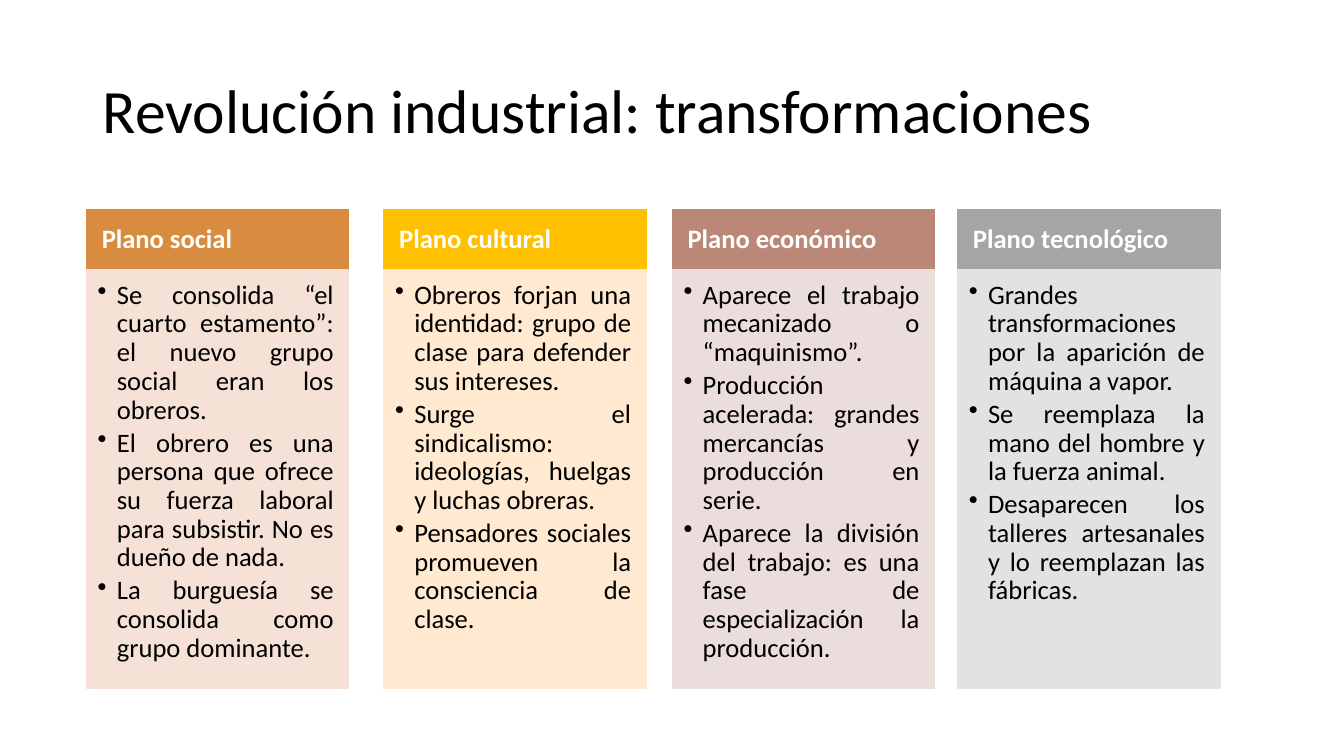
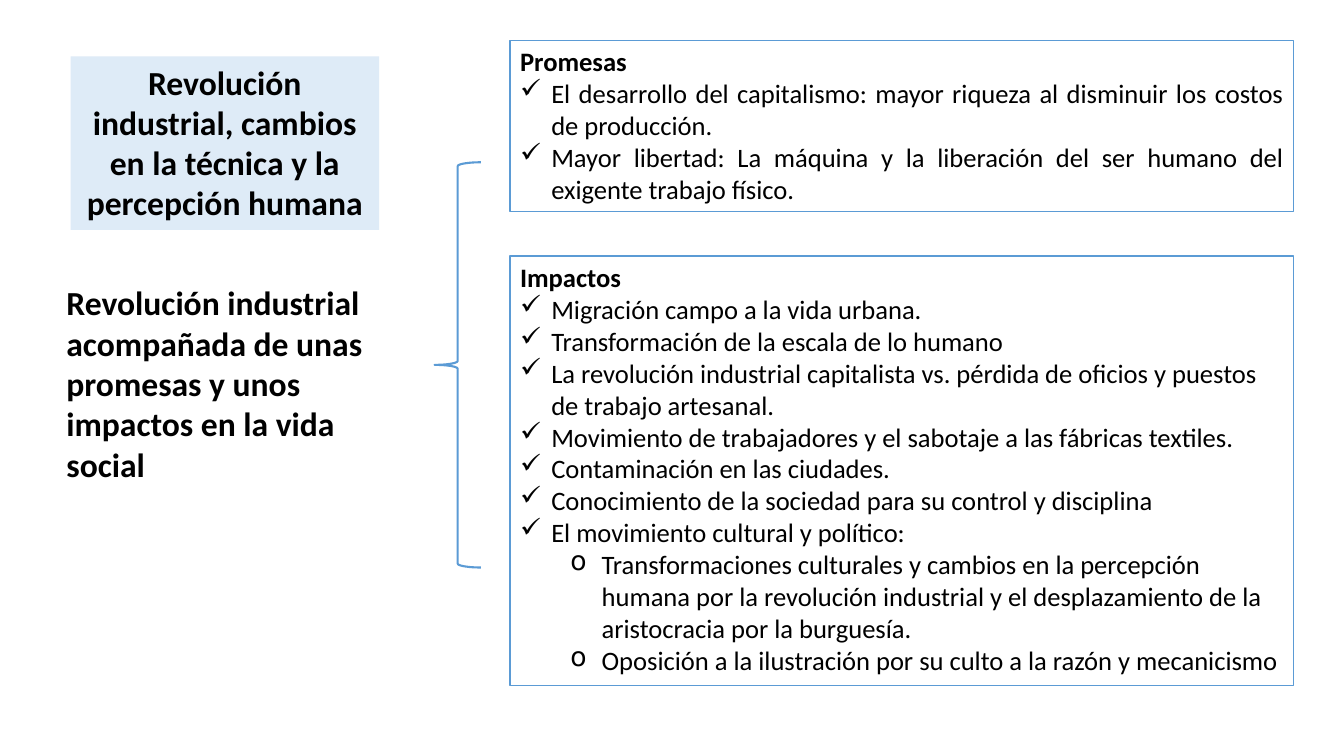
from pptx import Presentation
from pptx.dml.color import RGBColor
from pptx.enum.shapes import MSO_SHAPE as Shape
from pptx.enum.text import MSO_ANCHOR as Anchor, PP_ALIGN as Align
from pptx.oxml.ns import qn
from pptx.util import Inches, Pt
from lxml.etree import SubElement

FONT = "Calibri"
BLACK = RGBColor(0x00, 0x00, 0x00)
WHITE = RGBColor(0xFF, 0xFF, 0xFF)
BLUE = RGBColor(0x5B, 0x9B, 0xD5)
PALE = RGBColor(0xDE, 0xEB, 0xF7)
ORANGE = RGBColor(0xD9, 0x8B, 0x3F)
PEACH = RGBColor(0xF6, 0xE1, 0xD6)
GOLD = RGBColor(0xFF, 0xC0, 0x00)
CREAM = RGBColor(0xFF, 0xE9, 0xD0)
BROWN = RGBColor(0xBB, 0x87, 0x76)
ROSE = RGBColor(0xEB, 0xDD, 0xDB)
GRAY = RGBColor(0xA5, 0xA5, 0xA5)
SILVER = RGBColor(0xE2, 0xE2, 0xE2)

TITLE = "Revolución industrial: transformaciones"
PLANS = [
    (0.86, "Plano social", ORANGE, PEACH, [
        "Se consolida “el cuarto estamento”: el nuevo grupo social eran los obreros.",
        "El obrero es una persona que ofrece su fuerza laboral para subsistir. No es dueño de nada.",
        "La burguesía se consolida como grupo dominante."]),
    (3.81, "Plano cultural", GOLD, CREAM, [
        "Obreros forjan una identidad: grupo de clase para defender sus intereses.",
        "Surge el sindicalismo: ideologías, huelgas y luchas obreras.",
        "Pensadores sociales promueven la consciencia de clase."]),
    (6.67, "Plano económico", BROWN, ROSE, [
        "Aparece el trabajo mecanizado o “maquinismo”.",
        "Producción acelerada: grandes mercancías y producción en serie.",
        "Aparece la división del trabajo: es una fase de especialización la producción."]),
    (9.5, "Plano tecnológico", GRAY, SILVER, [
        "Grandes transformaciones por la aparición de máquina a vapor.",
        "Se reemplaza la mano del hombre y la fuerza animal.",
        "Desaparecen los talleres artesanales y lo reemplazan las fábricas."]),
]
TOPIC = "Revolución industrial, cambios en la técnica y la percepción humana"
CLAIM = "Revolución industrial acompañada de unas promesas y unos impactos en la vida social"
PANELS = [
    (0.4, 1.7, Align.JUSTIFY, "Promesas", [
        "El desarrollo del capitalismo: mayor riqueza al disminuir los costos de producción.",
        "Mayor libertad: La máquina y la liberación del ser humano del exigente trabajo físico."], []),
    (2.54, 4.26, Align.LEFT, "Impactos", [
        "Migración campo a la vida urbana.",
        "Transformación de la escala de lo humano",
        "La revolución industrial capitalista vs. pérdida de oficios y puestos de trabajo artesanal.",
        "Movimiento de trabajadores y el sabotaje a las fábricas textiles.",
        "Contaminación en las ciudades.",
        "Conocimiento de la sociedad para su control y disciplina",
        "El movimiento cultural y político:"], [
        "Transformaciones culturales y cambios en la percepción humana por la revolución industrial y el desplazamiento de la aristocracia por la burguesía.",
        "Oposición a la ilustración por su culto a la razón y mecanicismo"]),
]


def add_box(slide, at, fill=None, line=None, kind=Shape.RECTANGLE, width=1):
    box = slide.shapes.add_shape(kind, *map(Inches, at))
    box.shadow.inherit = False
    if fill is None:
        box.fill.background()
    else:
        box.fill.solid()
        box.fill.fore_color.rgb = fill
    if line is None:
        box.line.fill.background()
    else:
        box.line.color.rgb = line
        box.line.width = Pt(width)
    return box


def set_frame(box, inset=(0.1, 0.05, 0.1, 0.05), anchor=Anchor.TOP):
    frame = box.text_frame
    frame.word_wrap = True
    frame.vertical_anchor = anchor
    (frame.margin_left, frame.margin_top,
     frame.margin_right, frame.margin_bottom) = map(Inches, inset)
    return frame


def add_text(frame, text, size=19, bold=False, color=BLACK, align=Align.LEFT,
             mark=None, left=0, hang=0, space=1, after=0):
    para = frame.paragraphs[0] if not frame.text else frame.add_paragraph()
    para.text = text
    para.alignment = align
    para.line_spacing = space
    para.space_after = Pt(after)
    if mark:
        props = para._p.get_or_add_pPr()
        props.set("marL", str(Inches(left)))
        props.set("indent", str(-Inches(hang)))
        SubElement(props, qn("a:buChar")).set("char", mark)
    font = para.font
    font.name = FONT
    font.size = Pt(size)
    font.bold = bold
    font.color.rgb = color


def draw_plans(slide):
    title = set_frame(add_box(slide, (0.92, 0.4, 11.5, 1.45)), anchor=Anchor.MIDDLE)
    add_text(title, TITLE, size=44, space=0.9)
    for left, name, dark, light, points in PLANS:
        head = add_box(slide, (left, 2.08, 2.6, 0.6), dark, dark)
        frame = set_frame(head, (0.15, 0.08, 0.15, 0.08), Anchor.MIDDLE)
        add_text(frame, name, bold=True, color=WHITE, align=Align.JUSTIFY, space=0.9)
        body = add_box(slide, (left, 2.68, 2.6, 4.15), light, light)
        frame = set_frame(body, (0.11, 0.11, 0.15, 0.17))
        for point in points:
            add_text(frame, point, align=Align.JUSTIFY, mark="•",
                     left=0.19, hang=0.19, space=0.9, after=3)


def draw_impact(slide):
    topic = set_frame(add_box(slide, (0.7, 0.56, 3.06, 1.72), PALE))
    add_text(topic, TOPIC, size=24, bold=True, align=Align.CENTER)
    claim = set_frame(add_box(slide, (0.56, 2.75, 3.59, 1.72)))
    add_text(claim, CLAIM, size=24, bold=True)
    add_box(slide, (4.31, 1.61, 0.46, 4.02), line=BLUE, kind=Shape.LEFT_BRACE, width=1.5)
    for top, height, align, head, points, subs in PANELS:
        frame = set_frame(add_box(slide, (5.06, top, 7.77, height), WHITE, BLUE))
        add_text(frame, head, bold=True, align=align)
        for mark, left, items in (("✓", 0.31, points), ("o", 0.81, subs)):
            for item in items:
                add_text(frame, item, align=align, mark=mark, left=left, hang=0.31)


def main():
    deck = Presentation()
    deck.slide_width, deck.slide_height = Inches(13.33), Inches(7.5)
    for draw in (draw_plans, draw_impact):
        draw(deck.slides.add_slide(deck.slide_layouts[6]))
    deck.save("out.pptx")


if __name__ == "__main__":
    main()
